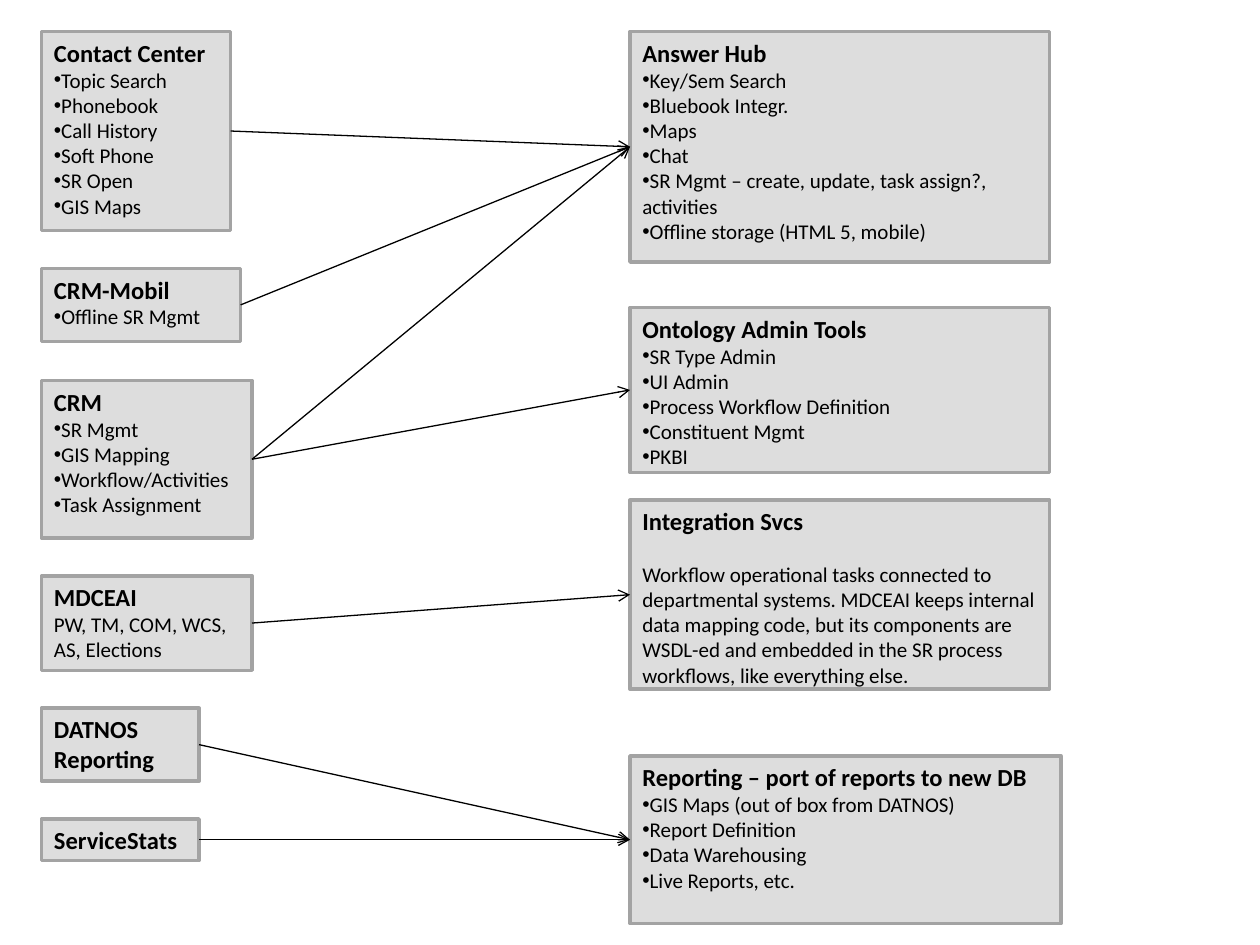
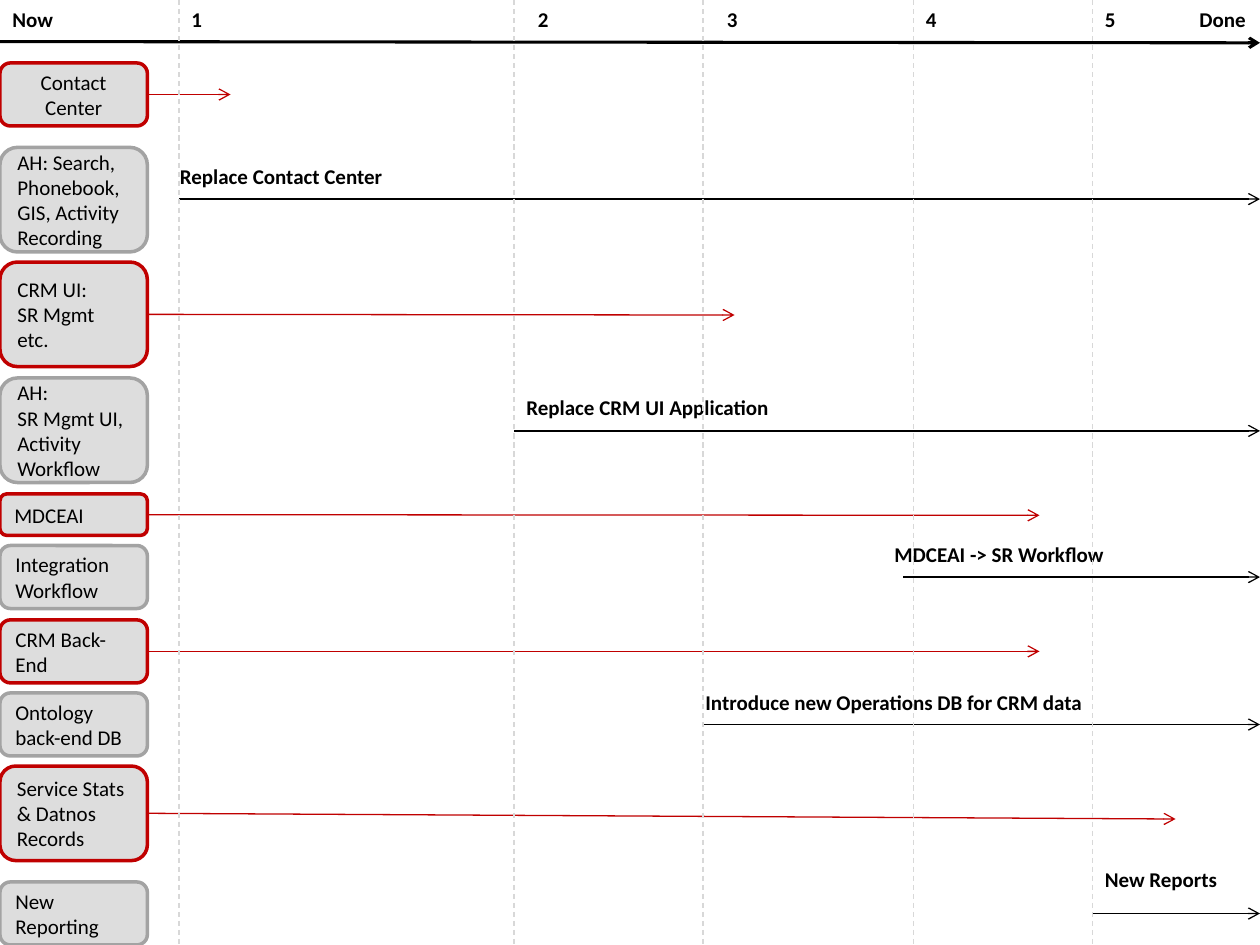
"""Build a system migration map and its phased timeline."""
from typing import NamedTuple

from lxml import etree
from pptx import Presentation
from pptx.dml.color import RGBColor
from pptx.enum.dml import MSO_LINE
from pptx.enum.shapes import MSO_CONNECTOR, MSO_SHAPE
from pptx.enum.text import MSO_ANCHOR, MSO_AUTO_SIZE, PP_ALIGN
from pptx.oxml.ns import qn
from pptx.util import Inches, Pt

RECT = MSO_SHAPE.RECTANGLE
ROUND = MSO_SHAPE.ROUNDED_RECTANGLE
STRAIGHT = MSO_CONNECTOR.STRAIGHT
DASH = MSO_LINE.DASH
TOP, MIDDLE = MSO_ANCHOR.TOP, MSO_ANCHOR.MIDDLE
LEFT, CENTER = PP_ALIGN.LEFT, PP_ALIGN.CENTER
FIT = MSO_AUTO_SIZE.SHAPE_TO_FIT_TEXT

FONT = "Calibri"
BLACK, FILL, GREY, RED, GUIDE = "000000", "DDDDDD", "A3A3A3", "C00000", "D8D8D8"
BLANK_LAYOUT = 6
LEFT_SITE, RIGHT_SITE = 1, 3
OLD_X, NEW_X = 0.33, 5
STAGE_W = 1.17
SLIDE_W, SLIDE_H = 10, 7.5


class System(NamedTuple):
    """A titled box on the migration map."""
    title: str
    x: float
    y: float
    w: float
    h: float
    bullets: tuple[str, ...] = ()
    note: str = ""
    note_gap: float = 0


class Stage(NamedTuple):
    """A component on the timeline; a retiring one has an end date."""
    lines: tuple[str, ...]
    y: float
    h: float
    end: tuple[float, float] | None = None
    align: PP_ALIGN = LEFT


class Rollout(NamedTuple):
    """A replacement that runs from a start point to the slide edge."""
    label: str
    x: float
    y: float
    w: float
    start: float
    line_y: float


class Phase(NamedTuple):
    """A numbered timeline guide."""
    x: float
    label_x: float


SYSTEMS = (
    System("Contact Center", OLD_X, 0.25, 1.5, 1.58,
           ("Topic Search", "Phonebook", "Call History", "Soft Phone",
            "SR Open", "GIS Maps")),
    System("CRM-Mobil", OLD_X, 2.13, 1.58, 0.58, ("Offline SR Mgmt",)),
    System("CRM", OLD_X, 3.02, 1.67, 1.25,
           ("SR Mgmt", "GIS Mapping", "Workflow/Activities",
            "Task Assignment")),
    System("MDCEAI", OLD_X, 4.57, 1.67, 0.75,
           note="PW, TM, COM, WCS, AS, Elections"),
    System("DATNOS Reporting", OLD_X, 5.62, 1.25, 0.58),
    System("ServiceStats", OLD_X, 6.5, 1.25, 0.33),
    System("Answer Hub", NEW_X, 0.25, 3.33, 1.83,
           ("Key/Sem Search", "Bluebook Integr.", "Maps", "Chat",
            "SR Mgmt – create, update, task assign?, activities",
            "Offline storage (HTML 5, mobile)")),
    System("Ontology Admin Tools", NEW_X, 2.44, 3.33, 1.31,
           ("SR Type Admin", "UI Admin", "Process Workflow Definition",
            "Constituent Mgmt", "PKBI")),
    System("Integration Svcs", NEW_X, 3.97, 3.33, 1.5,
           note="Workflow operational tasks connected to departmental systems. "
                "MDCEAI keeps internal data mapping code, but its components "
                "are WSDL-ed and embedded in the SR process workflows, like "
                "everything else.", note_gap=14.6),
    System("Reporting – port of reports to new DB", NEW_X, 6, 3.42, 1.33,
           ("GIS Maps (out of box from DATNOS)", "Report Definition",
            "Data Warehousing", "Live Reports, etc.")),
)
MIGRATIONS = (
    ("MDCEAI", "Integration Svcs"),
    ("DATNOS Reporting", "Reporting – port of reports to new DB"),
    ("ServiceStats", "Reporting – port of reports to new DB"),
    ("CRM", "Ontology Admin Tools"),
    ("Contact Center", "Answer Hub"),
    ("CRM-Mobil", "Answer Hub"),
    ("CRM", "Answer Hub"),
)
STAGES = (
    Stage(("Contact Center",), 0.5, 0.5, (1.83, 0.75), CENTER),
    Stage(("AH: Search, Phonebook, GIS, Activity Recording",), 1.17, 0.83),
    Stage(("CRM UI:", "SR Mgmt etc."), 2.08, 0.83, (5.83, 2.5)),
    Stage(("AH:", "SR Mgmt UI, Activity Workflow"), 3, 0.83),
    Stage(("MDCEAI",), 3.92, 0.33, (8.25, 4.09)),
    Stage(("Integration Workflow",), 4.33, 0.5),
    Stage(("CRM Back-End",), 4.92, 0.5, (8.25, 5.17)),
    Stage(("Ontology back-end DB",), 5.5, 0.5),
    Stage(("Service Stats & Datnos Records",), 6.08, 0.75, (9.33, 6.5)),
    Stage(("New Reporting",), 7, 0.5),
)
ROLLOUTS = (
    Rollout("Replace Contact Center", 1.33, 1.25, 3.5, 1.42, 1.58),
    Rollout("Replace CRM UI Application", 4.08, 3.08, 2.5, 4.08, 3.42),
    Rollout("MDCEAI -> SR Workflow", 7, 4.25, 2.08, 7.17, 4.58),
    Rollout("Introduce new Operations DB for CRM data",
            5.5, 5.42, 3.42, 5.58, 5.75),
    Rollout("New Reports", 8.67, 6.83, 1.33, 8.67, 7.25),
)
PHASES = (Phase(1.42, 1.42), Phase(4.08, 4.17), Phase(5.58, 5.67),
          Phase(7.25, 7.25), Phase(8.67, 8.67))


def rgb(value: str) -> RGBColor:
    """Return the colour for a hex string."""
    return RGBColor.from_string(value)


def add_run(p, text: str, size: float = 12, bold: bool = False) -> None:
    """Add a formatted run to a paragraph."""
    r = p.add_run()
    r.text = text
    r.font.name, r.font.size, r.font.bold = FONT, Pt(size), bold
    r.font.color.rgb = rgb(BLACK)


def add_bullet(p) -> None:
    """Give a paragraph a round bullet without indent."""
    p_pr = p._p.get_or_add_pPr()
    p_pr.set("marL", "0")
    p_pr.set("indent", "0")
    etree.SubElement(p_pr, qn("a:buFont")).set("typeface", "Arial")
    etree.SubElement(p_pr, qn("a:buChar")).set("char", "•")


def add_box(slide, kind, x: float, y: float, w: float, h: float,
            line: str, anchor):
    """Add a filled, outlined box that wraps its text."""
    sp = slide.shapes.add_shape(kind, Inches(x), Inches(y), Inches(w), Inches(h))
    sp.shadow.inherit = False
    sp.fill.solid()
    sp.fill.fore_color.rgb = rgb(FILL)
    sp.line.color.rgb = rgb(line)
    sp.line.width = Pt(2)
    sp.text_frame.word_wrap = True
    sp.text_frame.vertical_anchor = anchor
    return sp


def add_line(slide, start: tuple[float, float], end: tuple[float, float],
             color: str = BLACK, width: float = 0.75, arrow: bool = True):
    """Add a straight line, by default with an open arrowhead."""
    cx = slide.shapes.add_connector(STRAIGHT, *map(Inches, start + end))
    cx.line.color.rgb = rgb(color)
    cx.line.width = Pt(width)
    if arrow:
        etree.SubElement(cx.line._get_or_add_ln(),
                         qn("a:tailEnd")).set("type", "arrow")
    etree.SubElement(cx._element.spPr, qn("a:effectLst"))
    return cx


def add_label(slide, text: str, x: float, y: float, w: float,
              wrap: bool = False) -> None:
    """Add a bold one-line label."""
    sp = slide.shapes.add_textbox(Inches(x), Inches(y), Inches(w), Inches(0.3))
    tf = sp.text_frame
    tf.word_wrap = wrap
    tf.auto_size = FIT
    add_run(tf.paragraphs[0], text, bold=True)


def add_system(slide, system: System):
    """Draw a system with its title, bullets and note."""
    sp = add_box(slide, RECT, system.x, system.y, system.w, system.h, GREY, TOP)
    tf = sp.text_frame
    tf.paragraphs[0].alignment = LEFT
    add_run(tf.paragraphs[0], system.title, 14, True)
    for text in system.bullets:
        p = tf.add_paragraph()
        p.alignment = LEFT
        add_bullet(p)
        add_run(p, text)
    if system.note:
        p = tf.add_paragraph()
        p.alignment = LEFT
        p.space_before = Pt(system.note_gap)
        add_run(p, system.note)
    return sp


def add_stage(slide, stage: Stage) -> None:
    """Draw a timeline component and, if it retires, its remaining life."""
    color = RED if stage.end else GREY
    sp = add_box(slide, ROUND, 0, stage.y, STAGE_W, stage.h, color, MIDDLE)
    tf = sp.text_frame
    for i, text in enumerate(stage.lines):
        p = tf.add_paragraph() if i else tf.paragraphs[0]
        p.alignment = stage.align
        add_run(p, text)
    if stage.end:
        cx = add_line(slide, (STAGE_W, stage.y + stage.h / 2), stage.end, RED)
        cx.begin_connect(sp, RIGHT_SITE)


def build_map(slide) -> None:
    """Draw the current systems and where each one goes."""
    boxes = {s.title: add_system(slide, s) for s in SYSTEMS}
    places = {s.title: s for s in SYSTEMS}
    for source, target in MIGRATIONS:
        a, b = places[source], places[target]
        cx = add_line(slide, (a.x + a.w, a.y + a.h / 2), (b.x, b.y + b.h / 2))
        cx.begin_connect(boxes[source], RIGHT_SITE)
        cx.end_connect(boxes[target], LEFT_SITE)


def build_timeline(slide) -> None:
    """Draw the phased timeline of retirements and rollouts."""
    add_line(slide, (0, 0.33), (SLIDE_W, 0.34), width=1.75)
    add_label(slide, "Now", 0, 0, 0.53)
    add_label(slide, "Done", 9.42, 0, 0.58)
    for stage in STAGES:
        add_stage(slide, stage)
    for item in ROLLOUTS:
        add_line(slide, (item.start, item.line_y), (SLIDE_W, item.line_y))
        add_label(slide, item.label, item.x, item.y, item.w, True)
    for number, phase in enumerate(PHASES, 1):
        guide = add_line(slide, (phase.x, 0), (phase.x, SLIDE_H), GUIDE,
                         arrow=False)
        guide.line.dash_style = DASH
        add_label(slide, str(number), phase.label_x, 0, 0.29)


def main() -> None:
    """Build and save the presentation."""
    prs = Presentation()
    prs.slide_width, prs.slide_height = Inches(SLIDE_W), Inches(SLIDE_H)
    for build in (build_map, build_timeline):
        build(prs.slides.add_slide(prs.slide_layouts[BLANK_LAYOUT]))
    prs.save("out.pptx")


main()
